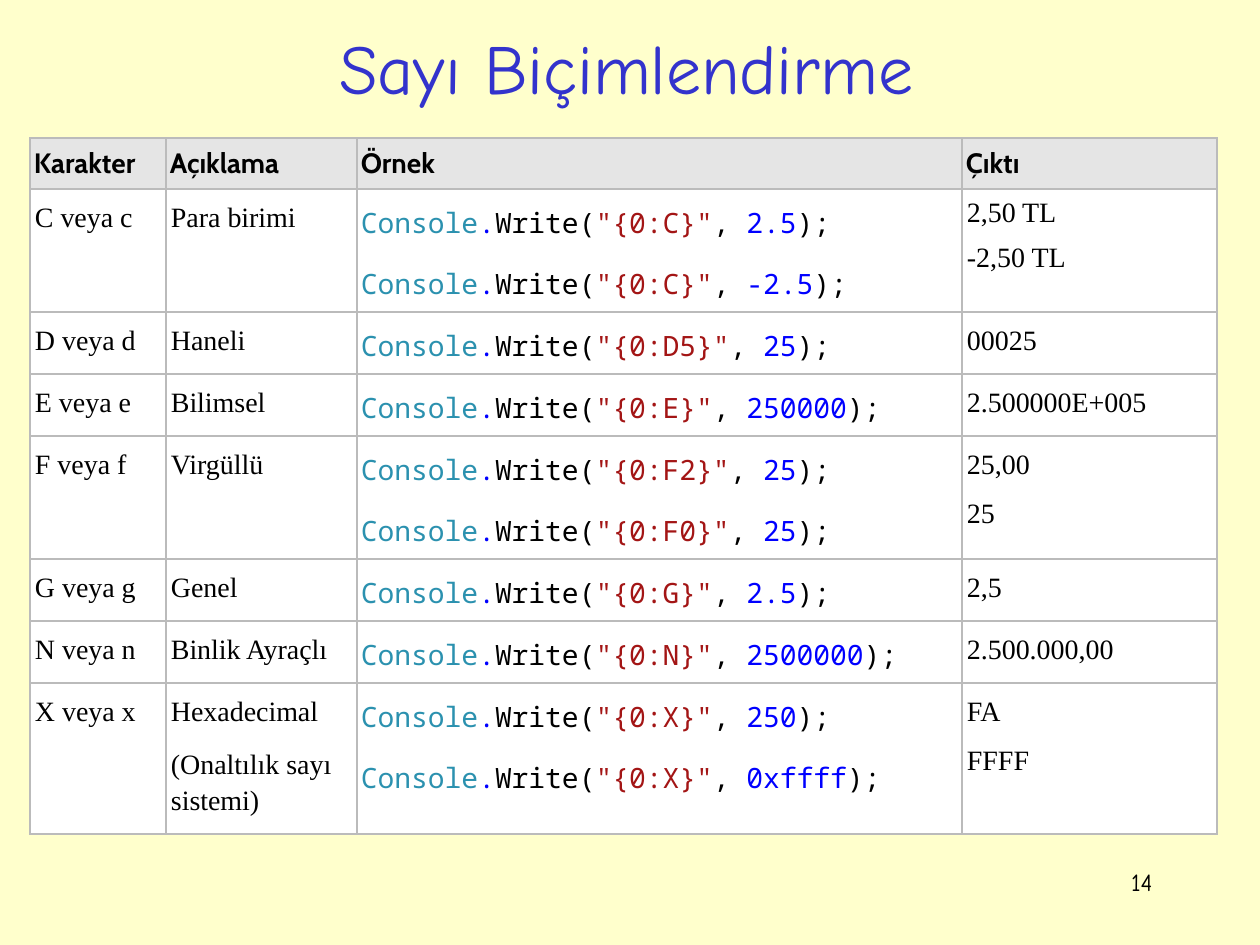
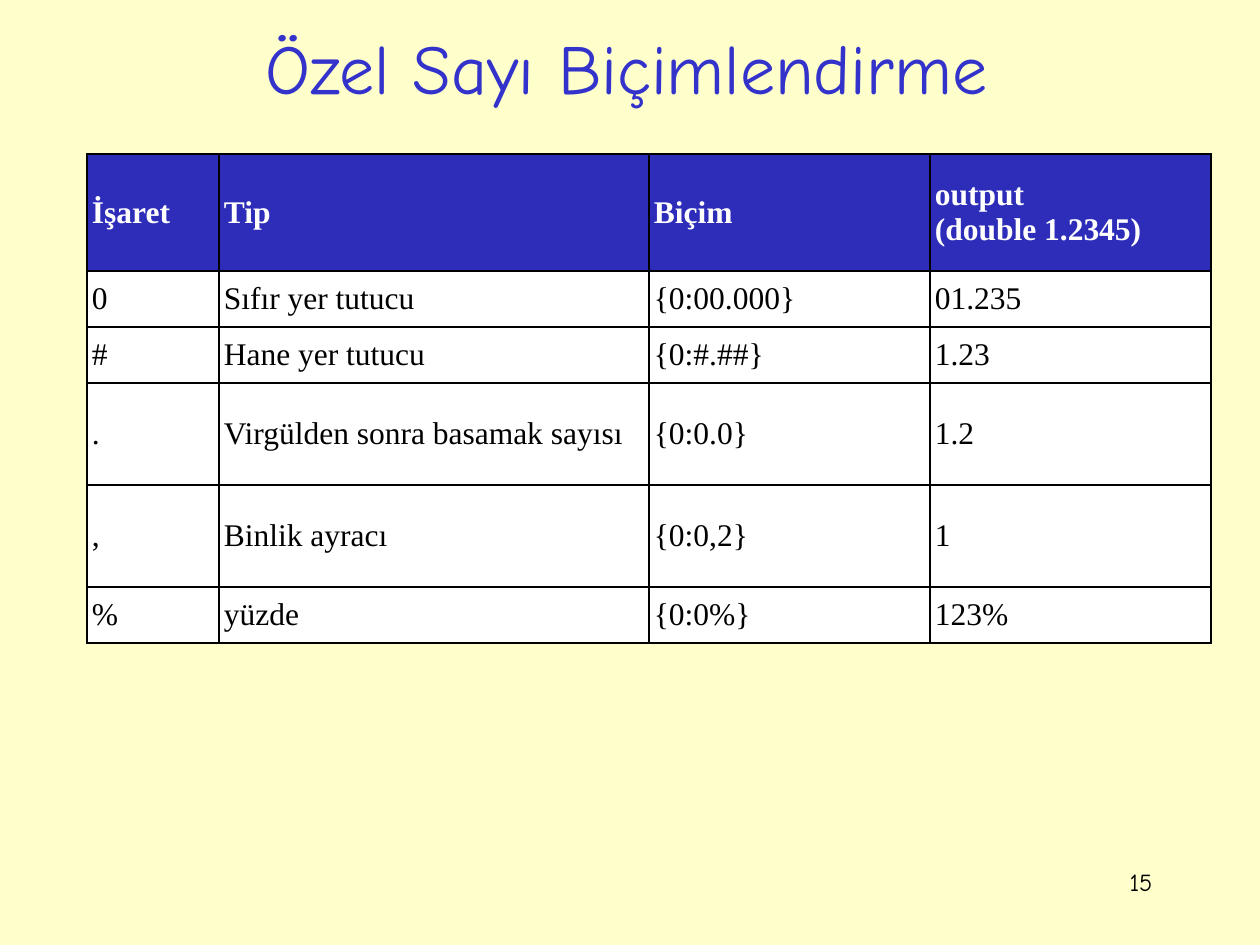
from lxml.etree import SubElement
from pptx import Presentation
from pptx.dml.color import RGBColor
from pptx.enum.text import MSO_ANCHOR, PP_ALIGN
from pptx.oxml.ns import qn
from pptx.util import Emu, Pt

# Shared style
EMU_PER_INCH, PX_PER_INCH = 914400, 126
BACKGROUND = RGBColor(0xFF, 0xFF, 0xCC)
TITLE_BLUE = RGBColor(0x33, 0x33, 0xCC)
HEADER_GREY = RGBColor(0xE5, 0xE5, 0xE5)
HEADER_BLUE = RGBColor(0x2D, 0x2D, 0xB9)
RULE_GREY = RGBColor(0xBB, 0xBB, 0xBB)
WHITE = RGBColor(0xFF, 0xFF, 0xFF)
BLACK = RGBColor(0, 0, 0)
CLASS_TEAL = RGBColor(0x2B, 0x91, 0xAF)
STRING_RED = RGBColor(0xA3, 0x15, 0x15)
NUMBER_BLUE = RGBColor(0, 0, 0xFF)
SLIDE_FONT, HEADER_FONT = "Comic Neue", "Cabin"
CODE_FONT, BODY_FONT = "Noto Sans Mono", "Times New Roman"

# Character, descriptions, (format, value) calls, outputs
FORMAT_HEADER = ["Karakter", "Açıklama", "Örnek", "Çıktı"]
FORMATS = [
    ("C veya c", ["Para birimi"], [("C", "2.5"), ("C", "-2.5")], ["2,50 TL", "-2,50 TL"]),
    ("D veya d", ["Haneli"], [("D5", "25")], ["00025"]),
    ("E veya e", ["Bilimsel"], [("E", "250000")], ["2.500000E+005"]),
    ("F veya f", ["Virgüllü"], [("F2", "25"), ("F0", "25")], ["25,00", "25"]),
    ("G veya g", ["Genel"], [("G", "2.5")], ["2,5"]),
    ("N veya n", ["Binlik Ayraçlı"], [("N", "2500000")], ["2.500.000,00"]),
    ("X veya x", ["Hexadecimal", "(Onaltılık sayı sistemi)"],
     [("X", "250"), ("X", "0xffff")], ["FA", "FFFF"]),
]
CUSTOM_FORMATS = [
    ("İşaret", "Tip", "Biçim", "output\n(double 1.2345)"),
    ("0", "Sıfır yer tutucu", "{0:00.000}", "01.235"),
    ("#", "Hane yer tutucu", "{0:#.##}", "1.23"),
    (".", "Virgülden sonra basamak sayısı", "{0:0.0}", "1.2"),
    (",", "Binlik ayracı", "{0:0,2}", "1"),
    ("%", "yüzde", "{0:0%}", "123%"),
]


def px(length):
    return Emu(round(length * EMU_PER_INCH / PX_PER_INCH))


def add_run(paragraph, text, size, font, color, bold=False):
    run = paragraph.add_run()
    run.text = text
    run.font.size, run.font.name, run.font.bold = Pt(size), font, bold
    run.font.color.rgb = color


def add_titled_slide(prs, title, number):
    slide = prs.slides.add_slide(prs.slide_layouts[5])
    heading = slide.shapes.title
    heading.left, heading.top, heading.width, heading.height = px(91), px(19), px(1071), px(96)
    heading.text_frame.vertical_anchor = MSO_ANCHOR.MIDDLE
    heading_line = heading.text_frame.paragraphs[0]
    heading_line.alignment = PP_ALIGN.CENTER
    add_run(heading_line, title, 40, SLIDE_FONT, TITLE_BLUE)

    footer = slide.shapes.add_textbox(px(903), px(861), px(262), px(63)).text_frame
    footer.word_wrap = True
    footer.paragraphs[0].alignment = PP_ALIGN.RIGHT
    add_run(footer.paragraphs[0], str(number), 14, SLIDE_FONT, BLACK)
    return slide


def add_grid(slide, left, top, widths, heights):
    grid = slide.shapes.add_table(len(heights), len(widths), px(left), px(top),
                                  px(sum(widths)), px(sum(heights))).table
    grid.first_row = grid.horz_banding = False
    for column, width in zip(grid.columns, widths):
        column.width = px(width)
    for row, height in zip(grid.rows, heights):
        row.height = px(height)
    return grid


def style_cell(cell, fill, rule, side, end, anchor=MSO_ANCHOR.TOP):
    """Set borders, fill and insets; side and end are the insets in px."""
    properties = cell._tc.get_or_add_tcPr()
    for edge in ("a:lnL", "a:lnR", "a:lnT", "a:lnB"):
        line = SubElement(properties, qn(edge), w=str(Pt(1)))
        solid = SubElement(line, qn("a:solidFill"))
        SubElement(solid, qn("a:srgbClr"), val=str(rule))
    cell.fill.solid()
    cell.fill.fore_color.rgb = fill
    cell.margin_left = cell.margin_right = px(side)
    cell.margin_top = cell.margin_bottom = px(end)
    cell.vertical_anchor = anchor


def cell_paragraphs(cell, count, spacing=1.15, before=0, after=10, indent=0):
    """Return spaced paragraphs; before applies from the second one on."""
    frame = cell.text_frame
    for index in range(count):
        paragraph = frame.add_paragraph() if index else frame.paragraphs[0]
        paragraph.line_spacing = spacing
        paragraph.space_before = Pt(before if index else 0)
        paragraph.space_after = Pt(after)
        paragraph._p.get_or_add_pPr().set("marL", str(px(indent)))
    return frame.paragraphs


def write_lines(cell, lines, **spacing):
    for paragraph, line in zip(cell_paragraphs(cell, len(lines), indent=1, **spacing), lines):
        add_run(paragraph, line, 16, BODY_FONT, BLACK)


def write_code(cell, calls):
    for paragraph, (pattern, value) in zip(cell_paragraphs(cell, len(calls)), calls):
        for text, color in [("Console", CLASS_TEAL), (".", NUMBER_BLUE), ("Write(", BLACK),
                            (f'"{{0:{pattern}}}"', STRING_RED), (", ", BLACK),
                            (value, NUMBER_BLUE), (");", BLACK)]:
            add_run(paragraph, text, 16, CODE_FONT, color)


def add_format_table(slide):
    line, double = 62, 123
    grid = add_grid(slide, 30, 138, [136, 191, 605, 255],
                    [51, double, line, line, double, line, line, 143])
    for cell, label in zip(grid.rows[0].cells, FORMAT_HEADER):
        style_cell(cell, HEADER_GREY, RULE_GREY, 4, 4)
        add_run(cell_paragraphs(cell, 1)[0], label, 16, HEADER_FONT, BLACK, bold=True)

    for index, (character, meaning, calls, outputs) in enumerate(FORMATS, 1):
        cells = list(grid.rows[index].cells)
        for cell in cells:
            style_cell(cell, WHITE, RULE_GREY, 4, 9)
        write_lines(cells[0], [character])
        write_lines(cells[1], meaning)
        write_code(cells[2], calls)
        # The currency outputs are set tighter than the rest
        write_lines(cells[3], outputs, spacing=1.0 if index == 1 else 1.15, before=7.5, after=0)


def add_custom_format_table(slide):
    grid = add_grid(slide, 87, 154, [132, 430, 281, 281], [117, 56, 56, 102, 102, 56])
    for index, texts in enumerate(CUSTOM_FORMATS):
        is_header = index == 0
        for cell, text in zip(grid.rows[index].cells, texts):
            style_cell(cell, HEADER_BLUE if is_header else WHITE, BLACK, 5, 4, MSO_ANCHOR.MIDDLE)
            paragraph = cell_paragraphs(cell, 1, spacing=1.0, after=0)[0]
            for number, line in enumerate(text.split("\n")):
                if number:
                    paragraph.add_line_break()
                add_run(paragraph, line, 18, BODY_FONT, WHITE if is_header else BLACK, is_header)


def main():
    prs = Presentation()
    prs.slide_width, prs.slide_height = px(1260), px(945)
    backdrop = prs.slide_master.background.fill
    backdrop.solid()
    backdrop.fore_color.rgb = BACKGROUND

    add_format_table(add_titled_slide(prs, "Sayı Biçimlendirme", 14))
    add_custom_format_table(add_titled_slide(prs, "Özel Sayı Biçimlendirme", 15))
    prs.save("out.pptx")


if __name__ == "__main__":
    main()
